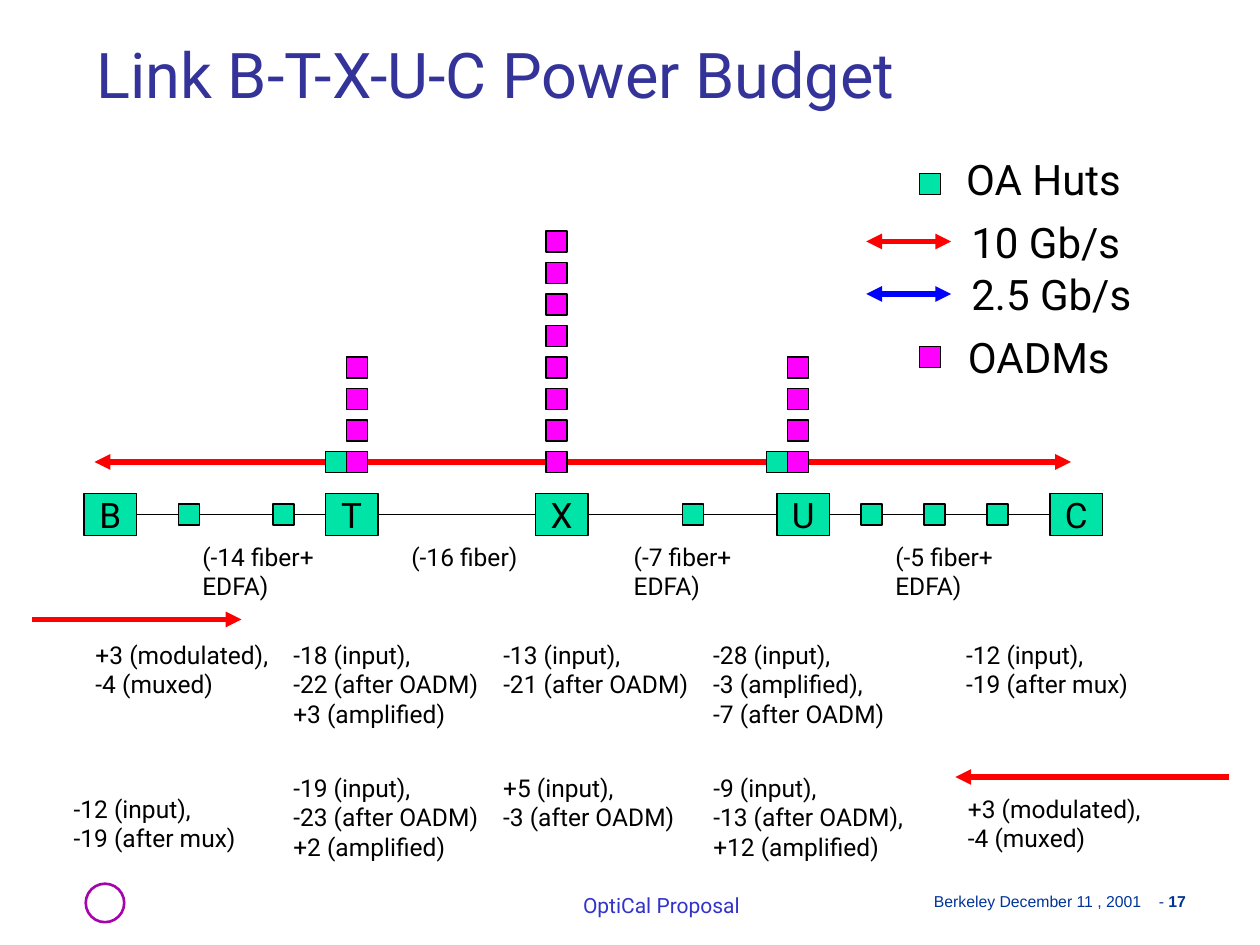
from dataclasses import dataclass

from lxml import etree
from pptx import Presentation
from pptx.dml import color
from pptx.enum import shapes, text
from pptx.oxml import ns
from pptx.util import Pt


@dataclass(frozen=True)
class Theme:
    font: str = "Roboto"
    footer_font: str = "Arial"
    black: str = "000000"
    title: str = "333399"
    subject: str = "3333CC"
    date: str = "003399"
    hut: str = "00E4A8"
    oadm: str = "FF00FF"
    fast: str = "FF0000"
    slow: str = "0000FF"
    ring: str = "A603AB"
    title_size: int = 36
    legend_size: int = 24
    node_size: int = 20
    label_size: int = 14
    subject_size: int = 12
    date_size: int = 9


T = Theme()
SQUARE, STEP = 12, 18
NODE_Y, NODE_W, NODE_H = 282, 30, 24
LINK_Y, TRAFFIC_Y = 294, 264


def rgb(value):
    return color.RGBColor.from_string(value)


def style(p, size, ink=T.black, font=T.font):
    p.font.size, p.font.name = Pt(size), font
    p.font.color.rgb = rgb(ink)


def add_text(parent, x, y, w, h, lines, size, ink=T.black, wrap=False,
             anchor=text.MSO_ANCHOR.TOP, align=text.PP_ALIGN.LEFT):
    tf = parent.add_textbox(Pt(x), Pt(y), Pt(w), Pt(h)).text_frame
    tf.word_wrap, tf.vertical_anchor = wrap, anchor
    if not wrap:
        tf.auto_size = text.MSO_AUTO_SIZE.SHAPE_TO_FIT_TEXT
    tf.text = "\n".join(lines)
    for p in tf.paragraphs:
        p.alignment = align
        style(p, size, ink)


def add_label(parent, x, y, w, *lines):
    add_text(parent, x, y, w, 8 + 16.5 * len(lines), lines, T.label_size)


def add_box(parent, x, y, w, h, fill, line=T.black, weight=0.75,
            kind=shapes.MSO_SHAPE.RECTANGLE):
    sp = parent.add_shape(kind, Pt(x), Pt(y), Pt(w), Pt(h))
    sp.shadow.inherit = False
    sp.fill.solid()
    sp.fill.fore_color.rgb = rgb(fill)
    sp.line.color.rgb, sp.line.width = rgb(line), Pt(weight)
    return sp


def add_square(parent, x, y, fill):
    add_box(parent, x, y, SQUARE, SQUARE, fill)


def add_node(parent, x, name):
    sp = add_box(parent, x, NODE_Y, NODE_W, NODE_H, T.hut)
    tf = sp.text_frame
    tf.word_wrap, tf.vertical_anchor = False, text.MSO_ANCHOR.MIDDLE
    p = tf.paragraphs[0]
    p.text, p.alignment = name, text.PP_ALIGN.CENTER
    style(p, T.node_size)
    return sp


def add_line(parent, x1, x2, y, ink=T.fast, weight=3, ends=()):
    cxn = parent.add_connector(shapes.MSO_CONNECTOR.STRAIGHT,
                               Pt(x1), Pt(y), Pt(x2), Pt(y))
    cxn.line.color.rgb, cxn.line.width = rgb(ink), Pt(weight)
    for end in ends:
        etree.SubElement(cxn.line._get_or_add_ln(), ns.qn(f"a:{end}"), type="triangle")
    etree.SubElement(cxn._element.spPr, ns.qn("a:effectLst"))
    return cxn


def add_footer(s):
    add_box(s, 49, 505, 22, 22, "FFFFFF", T.ring, 1.5, shapes.MSO_SHAPE.OVAL)
    add_text(s, 264, 492, 228, 36, ["OptiCal Proposal"], T.subject_size, T.subject,
             True, text.MSO_ANCHOR.BOTTOM, text.PP_ALIGN.CENTER)
    # Date and page number, set apart by a tab
    tf = s.add_textbox(Pt(504), Pt(509.8), Pt(180), Pt(10.8)).text_frame
    tf.word_wrap = True
    tf.margin_left = Pt(29.7)
    tf.margin_right = tf.margin_top = tf.margin_bottom = 0
    p = tf.paragraphs[0]
    tabs = etree.SubElement(p._p.get_or_add_pPr(), ns.qn("a:tabLst"))
    etree.SubElement(tabs, ns.qn("a:tab"), pos=str(Pt(128.5)), algn="l")
    style(p, T.date_size, T.date, T.footer_font)
    p.add_run().text = "Berkeley December 11 , 2001\t- "
    r = p.add_run()
    r.text, r.font.bold = "17", True


def add_legend(s):
    add_square(s, 525.6, 99, T.hut)
    add_square(s, 525.6, 198, T.oadm)
    for y, ink in ((138, T.fast), (168, T.slow)):
        add_line(s, 495, 543.5, y, ink, ends=("headEnd", "tailEnd"))
    for x, y, w, name in ((545, 84, 107, "OA Huts"), (548, 120, 101, "10 Gb/s"),
                          (548, 150, 107, "2.5 Gb/s"), (546, 186, 99, "OADMs")):
        add_text(s, x, y, w, 36, [name], T.legend_size)


def add_link(s):
    # Nodes joined in a chain
    nodes = [add_node(s, x, name) for name, x in
             zip("BTXUC", (48, 186, 306, 444, 600))]
    for a, b in zip(nodes, nodes[1:]):
        cxn = add_line(s, 0, 0, LINK_Y, T.black, 0.75)
        cxn.begin_connect(a, 3)
        cxn.end_connect(b, 1)
    # Traffic in both directions
    add_line(s, 354, 612, TRAFFIC_Y, ends=("tailEnd",))
    add_line(s, 54, 354, TRAFFIC_Y, ends=("headEnd",))
    # Amplifier huts along the fiber and beside T and U
    for x in (102, 156, 390, 492, 528, 564):
        add_square(s, x, LINK_Y - SQUARE / 2, T.hut)
    for x in (186, 438):
        add_square(s, x, TRAFFIC_Y - SQUARE / 2, T.hut)
    # Stacks of OADMs
    for x, count in ((198, 4), (312, 8), (450, 4)):
        for i in range(count):
            add_square(s, x, TRAFFIC_Y - SQUARE / 2 - i * STEP, T.oadm)
    # Fiber losses
    add_label(s, 108.5, 306, 81.5, "(-14 fiber+", "EDFA)")
    add_label(s, 228, 306, 78, "(-16 fiber)")
    add_label(s, 355, 306, 73.5, "(-7 fiber+", "EDFA)")
    add_label(s, 504.5, 306, 73.5, "(-5 fiber+", "EDFA)")


def add_budget(s, arrow, labels):
    group = s.add_group_shape().shapes
    add_line(group, *arrow, ends=("tailEnd",))
    for x, y, w, *lines in labels:
        add_label(group, x, y, w, *lines)


def main():
    prs = Presentation()
    prs.slide_width, prs.slide_height = Pt(720), Pt(540)
    s = prs.slides.add_slide(prs.slide_layouts[6]).shapes

    add_footer(s)
    add_text(s, 48, 12, 613.5, 55, ["Link B-T-X-U-C Power Budget"], T.title_size,
             T.title, True, text.MSO_ANCHOR.BOTTOM)
    add_link(s)
    add_legend(s)

    # Power levels from C to B
    add_budget(s, (702, 546, 444), (
        (546, 450, 121.5, "+3 (modulated),", "-4 (muxed)"),
        (160.5, 438, 125.5, "-19 (input),", "-23 (after OADM)", "+2 (amplified)"),
        (280.5, 438, 116.5, "+5 (input),", "-3 (after OADM)"),
        (400.5, 438, 129, "-9 (input),", "-13 (after OADM),", "+12 (amplified)"),
        (35, 450, 111.5, "-12 (input),", "-19 (after mux)")))
    # Power levels from B to C
    add_budget(s, (18, 138, 354), (
        (47.5, 362, 121.5, "+3 (modulated),", "-4 (muxed)"),
        (160.5, 362, 125.5, "-18 (input),", "-22 (after OADM)", "+3 (amplified)"),
        (280.5, 362, 125.5, "-13 (input),", "-21 (after OADM)"),
        (400.5, 362, 116.5, "-28 (input),", "-3 (amplified),", "-7 (after OADM)"),
        (545, 362, 111.5, "-12 (input),", "-19 (after mux)")))

    prs.save("out.pptx")


if __name__ == "__main__":
    main()
